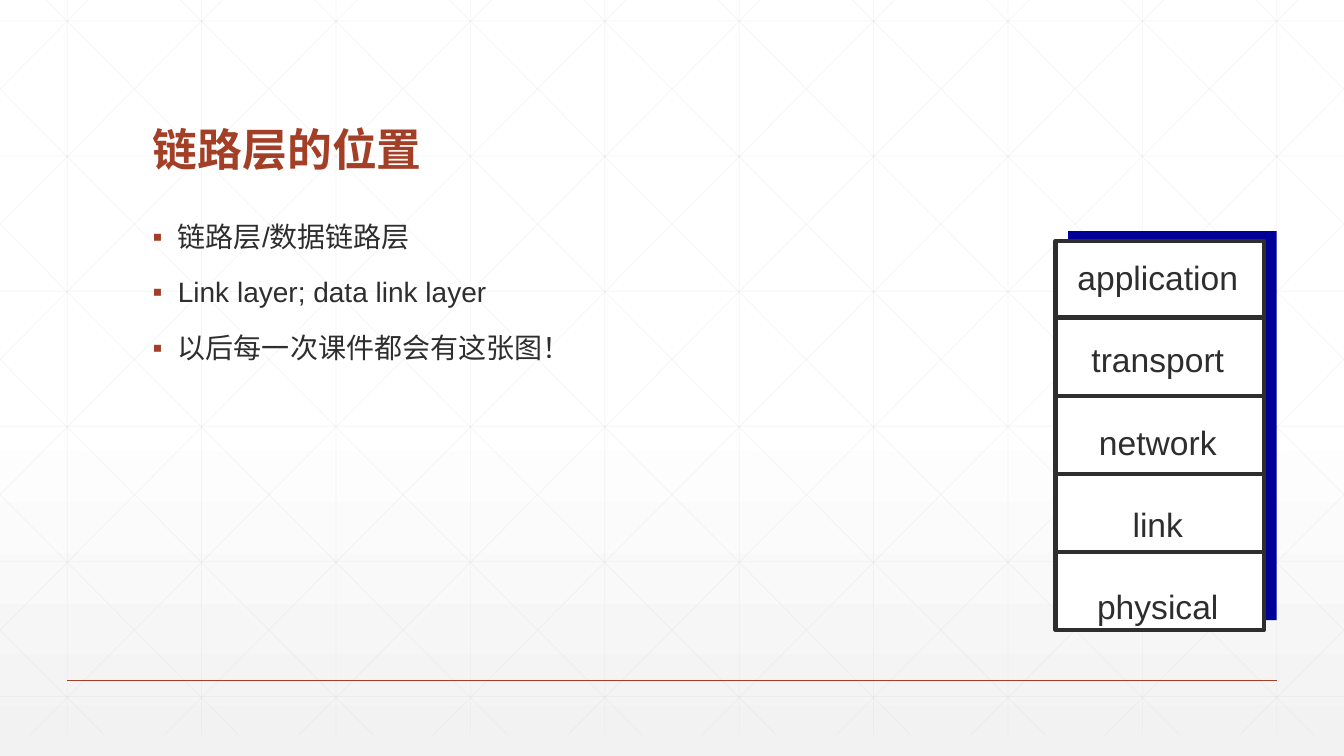
"""Build the slide that shows where the link layer sits in the protocol stack."""
from copy import deepcopy
from dataclasses import dataclass
from typing import Optional

from lxml.etree import SubElement
from pptx import Presentation
from pptx.dml.color import RGBColor
from pptx.enum.shapes import MSO_CONNECTOR, MSO_SHAPE
from pptx.enum.text import MSO_ANCHOR, MSO_AUTO_SIZE, PP_ALIGN
from pptx.oxml.ns import qn
from pptx.util import Pt

WHITE = RGBColor(0xFF, 0xFF, 0xFF)
PALE = RGBColor(0xF2, 0xF2, 0xF2)
GRID = RGBColor(0xD9, 0xD9, 0xD9)
RUST = RGBColor(0xA4, 0x3F, 0x27)
INK = RGBColor(0x2D, 0x2E, 0x2D)
NAVY = RGBColor(0x00, 0x00, 0x99)
FONT = "Arial"
WIDTH, HEIGHT = 960, 540
GRID_TOP, GRID_BOTTOM = -15, 525
STEP = 96
RUN = 536.5 / 540

BULLETS = ["链路层/数据链路层", "Link layer; data link layer", "以后每一次课件都会有这张图！"]
LAYERS = ["application", "transport", "network", "link", "physical"]


@dataclass
class Line:
    x1: float
    y1: float
    x2: float
    y2: float
    color: RGBColor
    width: float
    opacity: int = 100


@dataclass
class Box:
    left: float
    top: float
    fill: RGBColor
    outline: Optional[RGBColor] = None


def draw_line(s, line: Line) -> None:
    c = s.shapes.add_connector(MSO_CONNECTOR.STRAIGHT, Pt(line.x1), Pt(line.y1),
                               Pt(line.x2), Pt(line.y2))
    c.line.color.rgb = line.color
    c.line.width = Pt(line.width)
    pr = c._element.spPr
    if line.opacity < 100:
        color = pr.find(".//" + qn("a:srgbClr"))
        SubElement(color, qn("a:alpha"), val=str(line.opacity * 1000))
    SubElement(pr, qn("a:effectLst"))


def draw_box(s, box: Box) -> None:
    sp = s.shapes.add_shape(MSO_SHAPE.RECTANGLE, Pt(box.left), Pt(box.top), Pt(149), Pt(278))
    sp.shadow.inherit = False
    sp.fill.solid()
    sp.fill.fore_color.rgb = box.fill
    if box.outline is None:
        sp.line.fill.background()
    else:
        sp.line.color.rgb = box.outline
        sp.line.width = Pt(3)


def grid_lines() -> list[Line]:
    style = (GRID, 0.5, 25)
    lines = [Line(x, 0, x, GRID_BOTTOM, *style) for x in range(48, WIDTH, STEP)]
    lines += [Line(0, 15 + 96.5 * i, WIDTH, 15 + 96.5 * i, *style) for i in range(6)]
    for i in range(-5, 10):
        start = 18 + STEP * i
        y1 = max(0, GRID_TOP - start / RUN)
        y2 = min(GRID_BOTTOM, GRID_TOP + (WIDTH - start) / RUN)
        x1, x2 = (start + (y - GRID_TOP) * RUN for y in (y1, y2))
        lines.append(Line(x1, y1, x2, y2, *style))
        lines.append(Line(WIDTH - x1, y1, WIDTH - x2, y2, *style))
    return lines


def set_background(s) -> None:
    fill = s.background.fill
    fill.gradient()
    fill.gradient_angle = 270
    first, last = fill.gradient_stops
    first.color.rgb, first.position = WHITE, 0
    last.color.rgb, last.position = PALE, 1
    stops = s._element.find(".//" + qn("a:gsLst"))
    middle = deepcopy(stops[0])
    middle.set("pos", "53000")
    stops.insert(1, middle)


def format_font(p, size: float, color: RGBColor, bold: bool = False) -> None:
    for r in p.runs:
        r.font.name = FONT
        r.font.size = Pt(size)
        r.font.bold = bold
        r.font.color.rgb = color


def add_bullet(p) -> None:
    pr = p._p.get_or_add_pPr()
    pr.set("marL", str(Pt(18)))
    pr.set("indent", str(-Pt(18)))
    SubElement(SubElement(pr, qn("a:buClr")), qn("a:srgbClr"), val=str(RUST))
    SubElement(pr, qn("a:buFont"), typeface=FONT)
    SubElement(pr, qn("a:buChar"), char="▪")


def draw_title(s) -> None:
    title = s.shapes.title
    s.shapes._spTree.append(title._element)
    title.left, title.top, title.width, title.height = Pt(102), Pt(39.6), Pt(756), Pt(90)
    tf = title.text_frame
    tf.text = "链路层的位置"
    tf.auto_size = MSO_AUTO_SIZE.NONE
    tf.vertical_anchor = MSO_ANCHOR.BOTTOM
    p = tf.paragraphs[0]
    p.alignment = PP_ALIGN.LEFT
    p.line_spacing = 0.9
    format_font(p, 32, RUST, bold=True)


def draw_bullets(s) -> None:
    tf = s.shapes.add_textbox(Pt(102), Pt(156), Pt(355), Pt(300)).text_frame
    tf.word_wrap = True
    tf.text = "\n".join(BULLETS)
    for p in tf.paragraphs:
        p.line_spacing = 0.9
        p.space_before = Pt(18)
        add_bullet(p)
        format_font(p, 20, INK)


def draw_stack(s) -> None:
    draw_box(s, Box(763, 165, NAVY))
    draw_box(s, Box(754, 172, WHITE, INK))
    tf = s.shapes.add_textbox(Pt(762), Pt(180), Pt(130), Pt(266)).text_frame
    tf.word_wrap = False
    tf.text = "\n".join(LAYERS)
    for i, p in enumerate(tf.paragraphs):
        p.alignment = PP_ALIGN.CENTER
        p.space_before = Pt(30 if i else 0)
        format_font(p, 24, INK)
    for i in range(len(LAYERS) - 1):
        y = 226.8 + 55.9 * i
        draw_line(s, Line(753, y, 902, y, INK, 3))


def main() -> None:
    prs = Presentation()
    prs.slide_width, prs.slide_height = Pt(WIDTH), Pt(HEIGHT)
    s = prs.slides.add_slide(prs.slide_layouts[5])
    set_background(s)
    for line in grid_lines():
        draw_line(s, line)
    draw_line(s, Line(48, 486, 912, 486, RUST, 1))
    draw_title(s)
    draw_bullets(s)
    draw_stack(s)
    prs.save("out.pptx")


if __name__ == "__main__":
    main()
